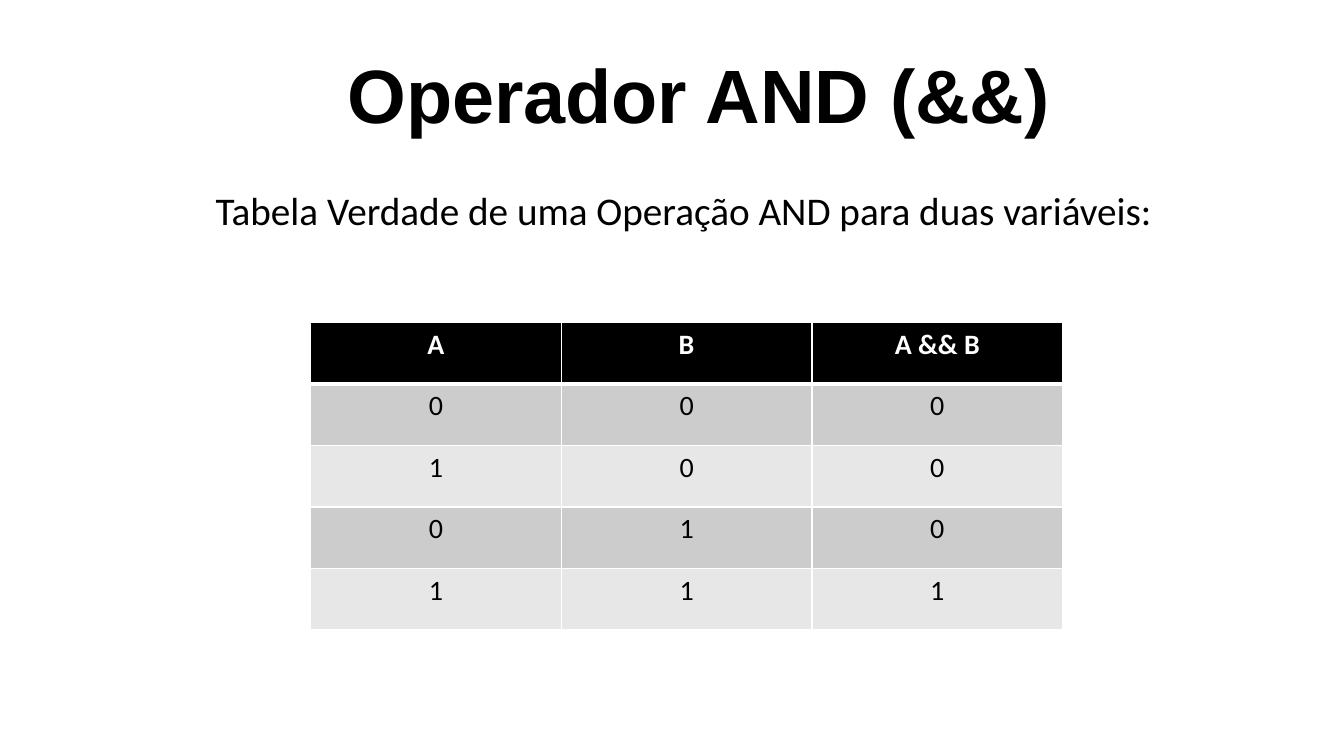
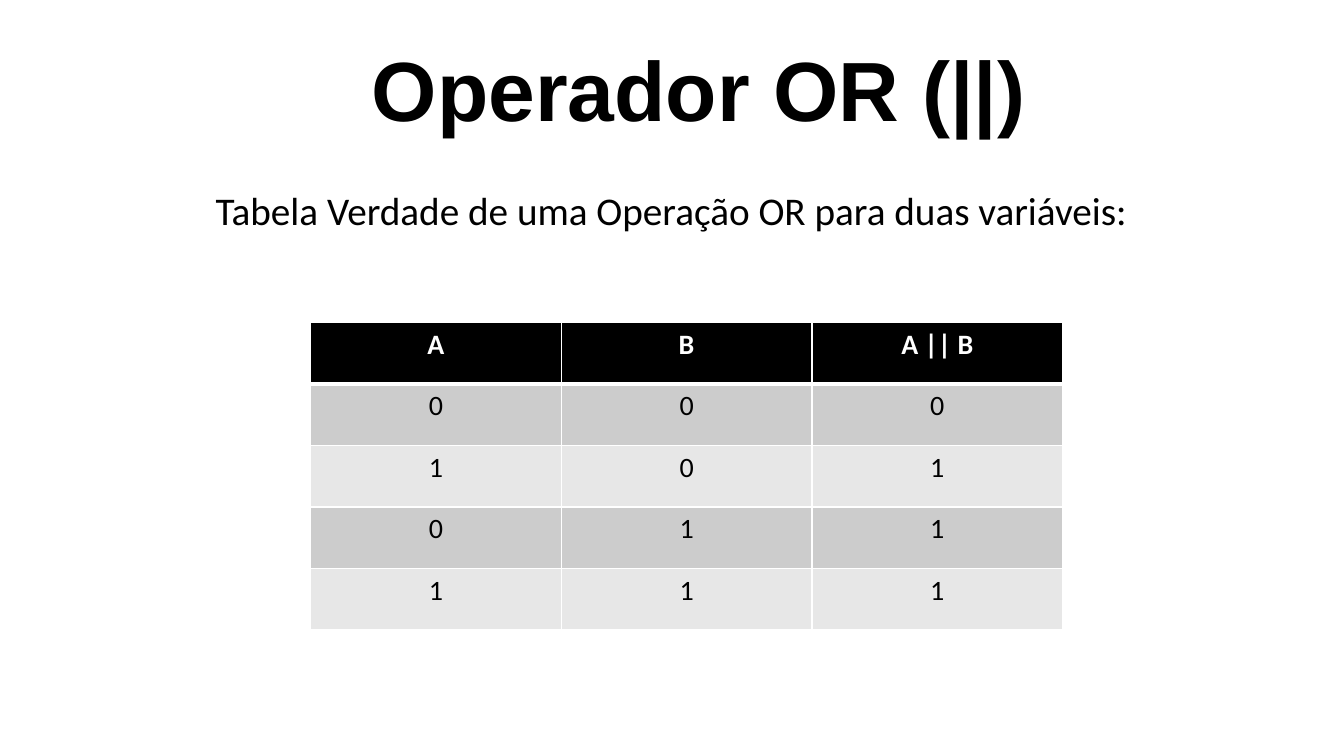
from lxml.etree import SubElement
from pptx import Presentation
from pptx.dml.color import RGBColor
from pptx.enum.text import MSO_ANCHOR, PP_ALIGN
from pptx.oxml.ns import qn
from pptx.util import Emu, Pt

PX = 9144
COLORS = {"ink": "000000", "paper": "FFFFFF", "odd": "CCCCCC", "even": "E7E7E7"}
INPUTS = [(0, 0), (1, 0), (0, 1), (1, 1)]


def px(n):
    return Emu(n * PX)


class Deck:
    """Builds truth-table slides in one shared style."""

    def __init__(self):
        self.prs = Presentation()
        self.prs.slide_width, self.prs.slide_height = px(1333), px(750)
        self.slide = None

    def new_slide(self):
        self.slide = self.prs.slides.add_slide(self.prs.slide_layouts[6])

    def style(self, tf, font, size, color, bold, align):
        p = tf.paragraphs[0]
        p.alignment = align
        for r in p.runs:
            r.font.name, r.font.size, r.font.bold = font, Pt(size), bold
            r.font.color.rgb = RGBColor.from_string(COLORS[color])

    def text(self, box, text, font, size, bold, align, anchor):
        tf = self.slide.shapes.add_textbox(*map(px, box)).text_frame
        tf.word_wrap = True
        tf.vertical_anchor = anchor
        tf.text = text
        self.style(tf, font, size, "ink", bold, align)
        return tf

    def title(self, text, size):
        tf = self.text((332, 28, 722, 116), text, "Arial", size, True,
                       PP_ALIGN.CENTER, MSO_ANCHOR.BOTTOM)
        tf.paragraphs[0].line_spacing = 0.9

    def subtitle(self, text):
        self.text((204, 180, 954, 104), text, "Calibri", 28, False,
                  PP_ALIGN.JUSTIFY, MSO_ANCHOR.TOP)

    def borders(self, cell, row):
        tc_pr = cell._tc.get_or_add_tcPr()
        widths = {"L": 1, "R": 1, "T": 3 if row == 1 else 1, "B": 3 if row == 0 else 1}
        for side, width in widths.items():
            ln = SubElement(tc_pr, qn(f"a:ln{side}"), w=str(Pt(width)))
            fill = SubElement(ln, qn("a:solidFill"))
            SubElement(fill, qn("a:srgbClr"), val=COLORS["paper"])

    def table(self, rows):
        frame = self.slide.shapes.add_table(
            len(rows), len(rows[0]), px(308), px(320), px(746), px(61 * len(rows)))
        table = frame.table
        table.first_row = table.horz_banding = False
        for i, row in enumerate(rows):
            header = i == 0
            back = "ink" if header else "odd" if i % 2 else "even"
            for j, value in enumerate(row):
                cell = table.cell(i, j)
                cell.text_frame.text = str(value)
                self.style(cell.text_frame, "Calibri", 20,
                           "paper" if header else "ink", header, PP_ALIGN.CENTER)
                self.borders(cell, i)
                cell.fill.solid()
                cell.fill.fore_color.rgb = RGBColor.from_string(COLORS[back])


def main():
    deck = Deck()
    operators = [
        ("AND", "&&", 54, lambda a, b: a & b),
        ("OR", "||", 60, lambda a, b: a | b),
    ]
    for name, symbol, size, operate in operators:
        deck.new_slide()
        deck.title(f"Operador {name} ({symbol})", size)
        deck.table([("A", "B", f"A {symbol} B")]
                   + [(a, b, operate(a, b)) for a, b in INPUTS])
        deck.subtitle(f"Tabela Verdade de uma Operação {name} para duas variáveis:")
    deck.prs.save("out.pptx")


if __name__ == "__main__":
    main()
